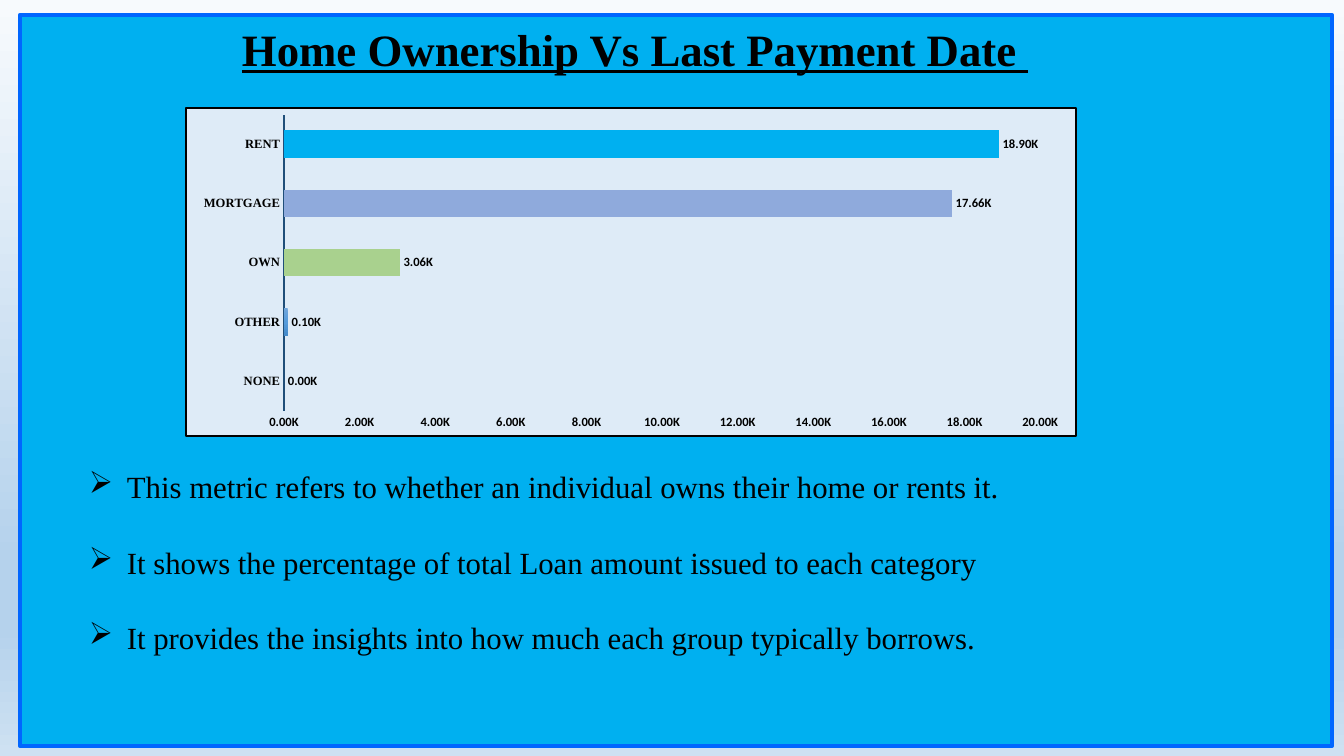
"""Build the slide on home ownership and last payment date."""
from lxml.etree import SubElement
from pptx import Presentation
from pptx.chart.data import CategoryChartData
from pptx.dml.color import RGBColor
from pptx.enum.chart import XL_CHART_TYPE, XL_LABEL_POSITION, XL_TICK_MARK
from pptx.enum.shapes import MSO_SHAPE
from pptx.oxml import parse_xml
from pptx.oxml.ns import nsdecls, qn
from pptx.util import Emu, Pt

TITLE = "Home Ownership Vs Last Payment Date "
BULLETS = [
    "This metric refers to whether an individual owns their home or rents it.",
    "It shows the percentage of total Loan amount issued to each category",
    "It provides the insights into how much each group typically borrows.",
]
OWNERSHIP = {"NONE": 0, "OTHER": 100, "OWN": 3060, "MORTGAGE": 17660, "RENT": 18900}
BAR_COLORS = {"OWN": "A9D18E", "MORTGAGE": "8FAADC", "RENT": "00B0F0"}
THOUSANDS = '0.00,"K"'

SLIDE_SIZE = (1344, 756)
PANEL_BOX = (20, 15, 1312, 731)
TITLE_BOX = (232, 17, 845, 65)
CHART_BOX = (185, 107, 892, 330)
BULLET_BOX = (79, 463, 1116, 308)
BULLET_INDENT = 38


class Theme:
    """Colours, fonts and type sizes."""

    serif, sans = "Times New Roman", "Calibri"
    text, panel, panel_line = "000000", "00B0F0", "0066FF"
    chart_fill, axis_line = "DEEBF7", "1F4E79"
    backdrop = [(0, "F7FAFD"), (74, "B5D2EC"), (83, "B5D2EC"), (100, "CEE1F2")]
    bar = [(0, "71A6DB"), (50, "559BDB"), (100, "448ACA")]
    title_size, body_size, chart_size, label_size = 32, 22, 10, 9
    panel_width, border_width, axis_width, bullet_gap = 3, 1.5, 1, 27.5


def px(length):
    """Turn px into EMU."""
    return Emu(round(length * 914400 / 100.8))


def place(box):
    """Turn a box in px into EMU."""
    return [px(length) for length in box]


def style_font(font, name, size, bold=False):
    """Set face, size, weight and text colour."""
    font.name, font.size, font.bold = name, Pt(size), bold
    font.color.rgb = RGBColor.from_string(Theme.text)


def set_solid(fill, color):
    """Fill with one colour."""
    fill.solid()
    fill.fore_color.rgb = RGBColor.from_string(color)


def set_gradient(fill, owner, stops):
    """Fill from top to bottom through the given stops."""
    fill.gradient()
    fill.gradient_angle = 270
    stop_list = owner.find(".//" + qn("a:gsLst"))
    for stop in list(stop_list):
        stop_list.remove(stop)
    for percent, color in stops:
        stop = SubElement(stop_list, qn("a:gs"), pos=str(percent * 1000))
        SubElement(stop, qn("a:srgbClr"), val=color)


def add_panel(slide):
    """Add the blue panel behind the content."""
    panel = slide.shapes.add_shape(MSO_SHAPE.RECTANGLE, *place(PANEL_BOX))
    panel.shadow.inherit = False
    set_solid(panel.fill, Theme.panel)
    panel.line.color.rgb = RGBColor.from_string(Theme.panel_line)
    panel.line.width = Pt(Theme.panel_width)


def add_text(slide, box, lines, size, bold=False):
    """Add a wrapped text box and return its paragraphs."""
    frame = slide.shapes.add_textbox(*place(box)).text_frame
    frame.word_wrap = True
    frame.text = "\n".join(lines)
    for paragraph in frame.paragraphs:
        style_font(paragraph.runs[0].font, Theme.serif, size, bold)
    return frame.paragraphs


def add_bullets(slide):
    """Add the arrow-bulleted remarks."""
    for paragraph in add_text(slide, BULLET_BOX, BULLETS, Theme.body_size):
        paragraph.space_after = Pt(Theme.bullet_gap)
        properties = paragraph._p.get_or_add_pPr()
        properties.set("marL", str(px(BULLET_INDENT)))
        properties.set("indent", str(-px(BULLET_INDENT)))
        SubElement(properties, qn("a:buChar"), char="➢")


def style_axis(axis, font_name):
    """Drop ticks and gridlines and set the label font."""
    axis.has_major_gridlines = False
    axis.major_tick_mark = axis.minor_tick_mark = XL_TICK_MARK.NONE
    style_font(axis.tick_labels.font, font_name, Theme.label_size, True)


def add_ownership_chart(slide):
    """Add the bar chart of the ownership categories."""
    chart_data = CategoryChartData(number_format=THOUSANDS)
    chart_data.categories = list(OWNERSHIP)
    chart_data.add_series("Series 1", list(OWNERSHIP.values()))
    chart = slide.shapes.add_chart(
        XL_CHART_TYPE.BAR_CLUSTERED, *place(CHART_BOX), chart_data).chart
    chart.has_legend = chart.has_title = False
    style_font(chart.font, Theme.sans, Theme.chart_size)
    chart._chartSpace.find(qn("c:chart")).addnext(parse_xml(
        f'<c:spPr {nsdecls("c", "a")}>'
        f'<a:solidFill><a:srgbClr val="{Theme.chart_fill}"/></a:solidFill>'
        f'<a:ln w="{Pt(Theme.border_width)}"><a:solidFill>'
        f'<a:srgbClr val="{Theme.text}"/></a:solidFill></a:ln></c:spPr>'))

    style_axis(chart.category_axis, Theme.serif)
    category_line = chart.category_axis.format.line
    category_line.color.rgb = RGBColor.from_string(Theme.axis_line)
    category_line.width = Pt(Theme.axis_width)
    value_axis = chart.value_axis
    style_axis(value_axis, Theme.sans)
    value_axis.format.line.fill.background()
    value_axis.minimum_scale, value_axis.maximum_scale = 0, 20000
    value_axis.major_unit = 2000
    value_axis.tick_labels.number_format = THOUSANDS
    value_axis.tick_labels.number_format_is_linked = False

    plot = chart.plots[0]
    plot.gap_width, plot.overlap, plot.vary_by_categories = 115, -20, False
    series = plot.series[0]
    set_gradient(series.format.fill, series._element, Theme.bar)
    for index, category in enumerate(OWNERSHIP):
        if category in BAR_COLORS:
            set_solid(series.points[index].format.fill, BAR_COLORS[category])
    labels = series.data_labels
    labels.show_value = True
    labels.position = XL_LABEL_POSITION.OUTSIDE_END
    labels.number_format, labels.number_format_is_linked = THOUSANDS, False
    style_font(labels.font, Theme.sans, Theme.label_size, True)


def main():
    """Assemble and save the slide."""
    presentation = Presentation()
    presentation.slide_width, presentation.slide_height = place(SLIDE_SIZE)
    slide = presentation.slides.add_slide(presentation.slide_layouts[6])
    set_gradient(slide.background.fill, slide._element, Theme.backdrop)
    add_panel(slide)
    add_bullets(slide)
    add_ownership_chart(slide)
    title = add_text(slide, TITLE_BOX, [TITLE], Theme.title_size, True)[0]
    title.runs[0].font.underline = True
    presentation.save("out.pptx")


if __name__ == "__main__":
    main()
